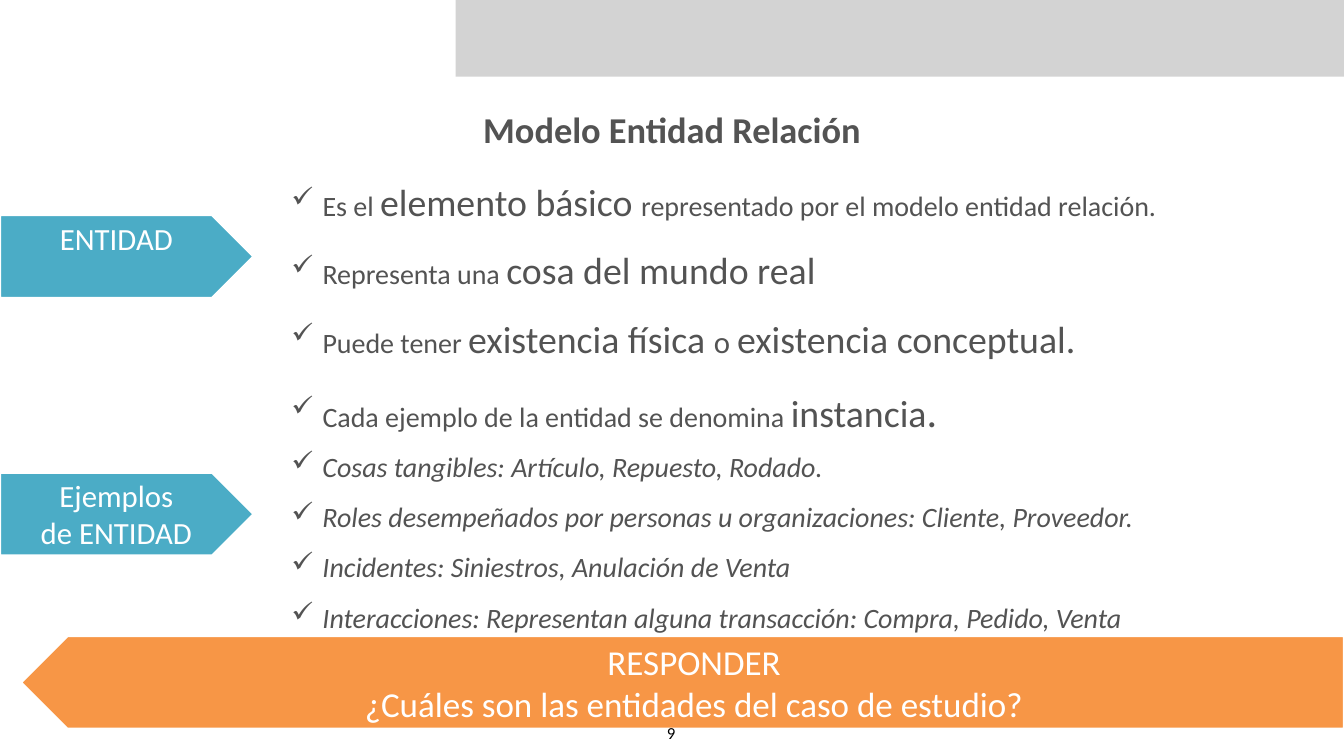
from lxml.etree import SubElement as Sub
from pptx import Presentation
from pptx.dml.color import RGBColor as RGB
from pptx.enum.shapes import MSO_SHAPE as Kind
from pptx.enum.text import MSO_ANCHOR as Anchor, PP_ALIGN as Align
from pptx.oxml.ns import qn
from pptx.util import Emu, Pt

SCALE = 9144  # EMU in one px, 100 px to the inch
COLORS = {"white": "FFFFFF", "gray": "D3D3D3", "text": "535353",
          "teal": "4BACC6", "orange": "F79646", "black": "000000"}

# Each point is a list of (words, size) runs
POINTS = [
    [("Es el ", 40), ("elemento básico ", 54),
     ("representado por el modelo entidad relación.", 40)],
    [("Representa una ", 40), ("cosa del mundo real", 54)],
    [("Puede tener ", 40), ("existencia física ", 54), ("o ", 44),
     ("existencia conceptual.", 54)],
    [("Cada ejemplo de la entidad se denomina ", 40), ("instancia", 54),
     (".", 60)],
]
SAMPLES = [
    "Cosas tangibles: Artículo, Repuesto, Rodado.",
    "Roles desempeñados por personas u organizaciones: Cliente, Proveedor.",
    "Incidentes: Siniestros, Anulación de Venta",
    "Interacciones: Representan alguna transacción: Compra, Pedido, Venta",
]


def px(num):
    return Emu(num * SCALE)


def tint(name):
    return RGB.from_string(COLORS[name])


def style(font, size, color, bold=False, italic=False):
    font.name = "Calibri"
    font.size = Pt(size)
    font.color.rgb = tint(color)
    font.bold = bold
    font.italic = italic


def setup(frame, anchor, wrap=True):
    frame.word_wrap = wrap
    frame.vertical_anchor = anchor
    frame.margin_left = frame.margin_right = px(8)
    frame.margin_top = frame.margin_bottom = px(8)


def write(frame, text, size, color, bold=False):
    """Fill a frame with centred lines of one style."""
    frame.text = text
    for para in frame.paragraphs:
        para.alignment = Align.CENTER
        for run in para.runs:
            style(run.font, size, color, bold)


def label(slide, box, text, size, color, bold=False, anchor=Anchor.MIDDLE,
          wrap=True):
    frame = slide.shapes.add_textbox(*map(px, box)).text_frame
    setup(frame, anchor, wrap)
    write(frame, text, size, color, bold)


def block(slide, kind, box, fill):
    shape = slide.shapes.add_shape(kind, *map(px, box))
    shape.shadow.inherit = False
    shape.fill.solid()
    shape.fill.fore_color.rgb = tint(fill)
    shape.line.fill.background()
    return shape


def arrow(slide, box, fill, text, size, anchor=Anchor.MIDDLE, flip=False):
    shape = block(slide, Kind.PENTAGON, box, fill)
    shape.line.color.rgb = tint("white")
    shape.line.width = Pt(3)
    if flip:
        shape.element.spPr.find(qn("a:xfrm")).set("flipH", "1")
    setup(shape.text_frame, anchor)
    write(shape.text_frame, text, size, "white")


def check(para):
    """Give a paragraph a hanging check mark."""
    para.line_spacing = 1.5
    props = para._p.get_or_add_pPr()
    props.set("marL", str(px(62)))
    props.set("indent", str(-px(62)))
    Sub(props, qn("a:buChar"), char="✓")


def bullets(slide, box, items, anchor, italic=False):
    frame = slide.shapes.add_textbox(*map(px, box)).text_frame
    setup(frame, anchor)
    for num, item in enumerate(items):
        para = frame.add_paragraph() if num else frame.paragraphs[0]
        check(para)
        for words, size in item:
            run = para.add_run()
            run.text = words
            style(run.font, size, "text", italic=italic)


def main():
    deck = Presentation()
    deck.slide_width, deck.slide_height = px(2667), px(1500)
    slide = deck.slides.add_slide(deck.slide_layouts[6])

    # Top band and title
    block(slide, Kind.RECTANGLE, (904, -4, 1768, 156), "gray")
    label(slide, (529, 205, 1609, 103), "Modelo Entidad Relación", 52,
          "text", bold=True)

    # What an entity is
    bullets(slide, (570, 300, 2035, 576), POINTS, Anchor.MIDDLE)
    arrow(slide, (0, 427, 503, 164), "teal", "ENTIDAD", 44, Anchor.TOP)

    # Examples
    bullets(slide, (570, 850, 1900, 504), [[(text, 40)] for text in SAMPLES],
            Anchor.TOP, italic=True)
    arrow(slide, (0, 938, 503, 164), "teal", "Ejemplos\nde ENTIDAD", 44)

    # Question and slide number
    arrow(slide, (42, 1262, 2625, 184), "orange",
          "RESPONDER\n¿Cuáles son las entidades del caso de estudio?", 50,
          flip=True)
    label(slide, (1307, 1426, 50, 55), "9", 24, "black", anchor=Anchor.TOP,
          wrap=False)

    deck.save("out.pptx")


if __name__ == "__main__":
    main()
